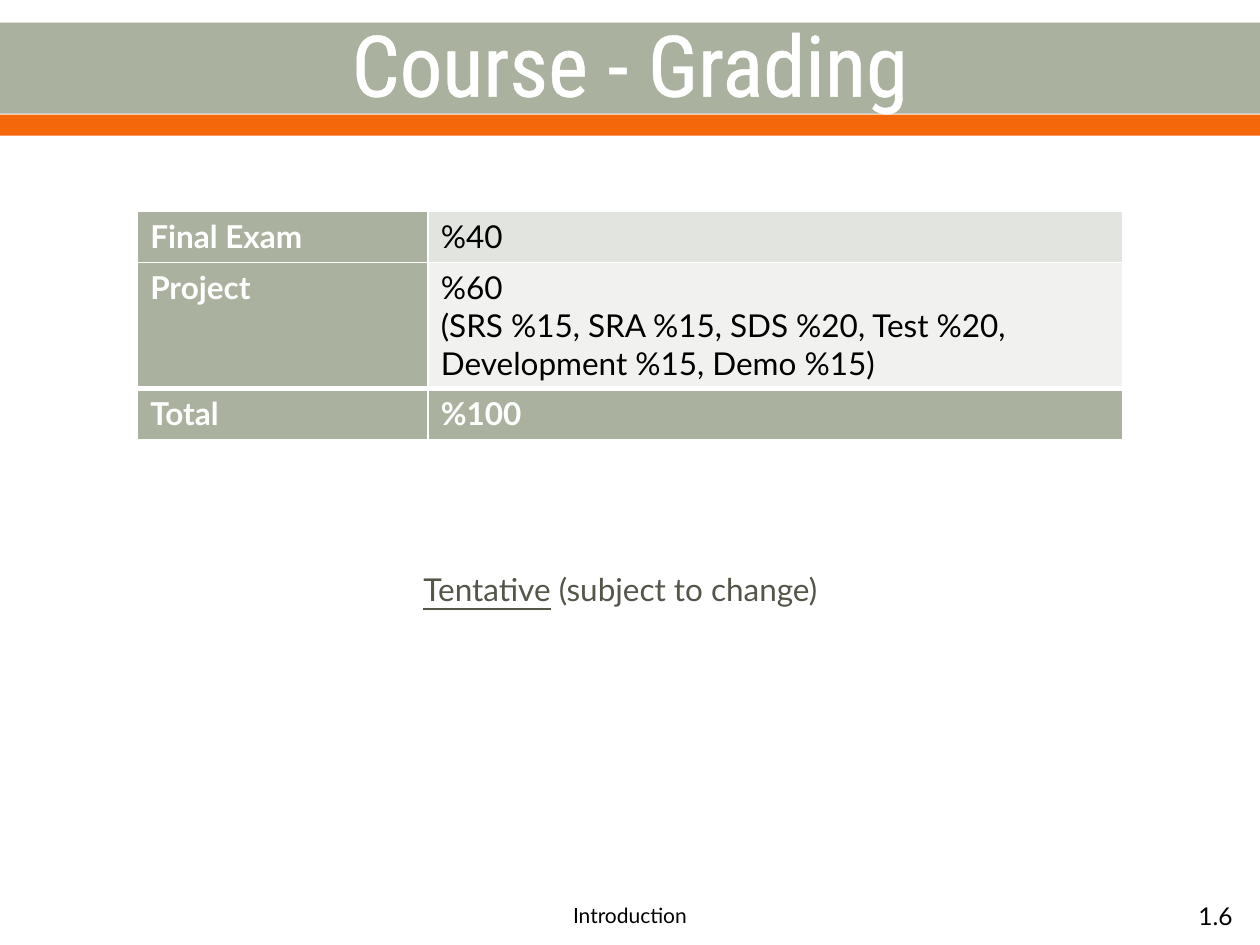
from lxml import etree
from pptx import Presentation
from pptx.dml.color import RGBColor
from pptx.enum import shapes, text
from pptx.oxml import ns
from pptx.util import Pt

SAGE, ORANGE, WHITE, BLACK = "ABB19F", "F4680B", "FFFFFF", "000000"
ALIGN, ANCHOR = text.PP_ALIGN, text.MSO_ANCHOR


def paint(colour_format, colour):
    colour_format.rgb = RGBColor.from_string(colour)


def fill(part, colour):
    part.fill.solid()
    paint(part.fill.fore_color, colour)


def add_line(parent, index, tag, colour, width):
    line = etree.Element(ns.qn(tag), w=str(Pt(width)))
    solid = etree.SubElement(line, ns.qn("a:solidFill"))
    etree.SubElement(solid, ns.qn("a:srgbClr"), val=colour)
    parent.insert(index, line)


def write(frame, content, font="Lato", size=18, colour=BLACK, bold=False,
          underlined=(), align=ALIGN.LEFT, anchor=ANCHOR.TOP):
    frame.word_wrap = True
    frame.vertical_anchor = anchor
    for number, runs in enumerate(content):
        paragraph = frame.add_paragraph() if number else frame.paragraphs[0]
        paragraph.alignment = align
        for words in runs:
            run = paragraph.add_run()
            run.text = words
            run.font.name, run.font.size = font, Pt(size)
            run.font.bold = bold
            run.font.underline = words in underlined
            paint(run.font.color, colour)


def add_text(slide, box, content, **style):
    label = slide.shapes.add_textbox(*map(Pt, box))
    write(label.text_frame, content, **style)


def add_header(slide, box):
    left, top, width, height = box
    for offset, thickness, colour in ((0, 52, SAGE), (52.5, height - 52.5, ORANGE)):
        band = slide.shapes.add_shape(
            shapes.MSO_SHAPE.RECTANGLE,
            Pt(left), Pt(top + offset), Pt(width), Pt(thickness))
        band.shadow.inherit = False
        fill(band, colour)
        band.line.fill.background()

    title = slide.shapes.title
    title.left, title.top = Pt(left), Pt(top + 0.5)
    title.width, title.height = Pt(width), Pt(44.6)
    frame = title.text_frame
    frame.auto_size = text.MSO_AUTO_SIZE.NONE
    write(frame, [["Course - Grading"]], font="Roboto Condensed", size=48.6,
          colour=WHITE, align=ALIGN.CENTER, anchor=ANCHOR.MIDDLE)
    add_line(frame.paragraphs[0].runs[0].font._element, 0, "a:ln", WHITE, 1.1)
    slide.shapes._spTree.append(title._element)


def add_grading(slide, box):
    grades = [
        ("Final Exam", [["%40"]], "E2E4DF", 29.5),
        ("Project", [["%60"], ["(SRS %15, SRA %15, SDS %20, Test %20, "
                               "Development %15, Demo %15)"]], "F1F2F0", 71),
        ("Total", [["%100"]], SAGE, 29.5),
    ]
    left, top, width, height = box
    table = slide.shapes.add_table(len(grades), 2, *map(Pt, box)).table
    table.first_row = table.horz_banding = False
    table.columns[0].width = Pt(166)
    table.columns[1].width = Pt(width - 166)
    for row, (item, share, share_fill, row_height) in enumerate(grades):
        table.rows[row].height = Pt(row_height)
        is_total = item == "Total"
        for column, content in enumerate(([[item]], share)):
            cell = table.cell(row, column)
            heading = column == 0 or is_total
            write(cell.text_frame, content, bold=heading,
                  colour=WHITE if heading else BLACK)
            fill(cell, SAGE if heading else share_fill)
            borders = cell._tc.get_or_add_tcPr()
            for index, side in enumerate("LRTB"):
                thick = (is_total and side == "T") or (row == len(grades) - 2 and side == "B")
                add_line(borders, index, "a:ln" + side, WHITE, 3 if thick else 1)


def add_footer(slide, box):
    left, top, width, height = box
    add_text(slide, (left + 246, top, 228, height), [["Introduction"]],
             size=12, align=ALIGN.CENTER, anchor=ANCHOR.MIDDLE)
    add_text(slide, (left + 586.5, top, 125, height), [["1.6"]],
             size=14, align=ALIGN.RIGHT, anchor=ANCHOR.MIDDLE)


def main():
    deck = Presentation()
    deck.slide_width, deck.slide_height = Pt(720), Pt(540)
    slide = deck.slides.add_slide(deck.slide_layouts[5])
    add_header(slide, (0, 13, 720, 64.5))
    add_grading(slide, (78.7, 120.5, 563, 130))
    add_footer(slide, (0, 508.5, 720, 29))
    add_text(slide, (144.5, 322, 420, 29), [["Tentative", " (subject to change)"]],
             colour="55554A", underlined=("Tentative",), align=ALIGN.CENTER)
    deck.save("out.pptx")


if __name__ == "__main__":
    main()
